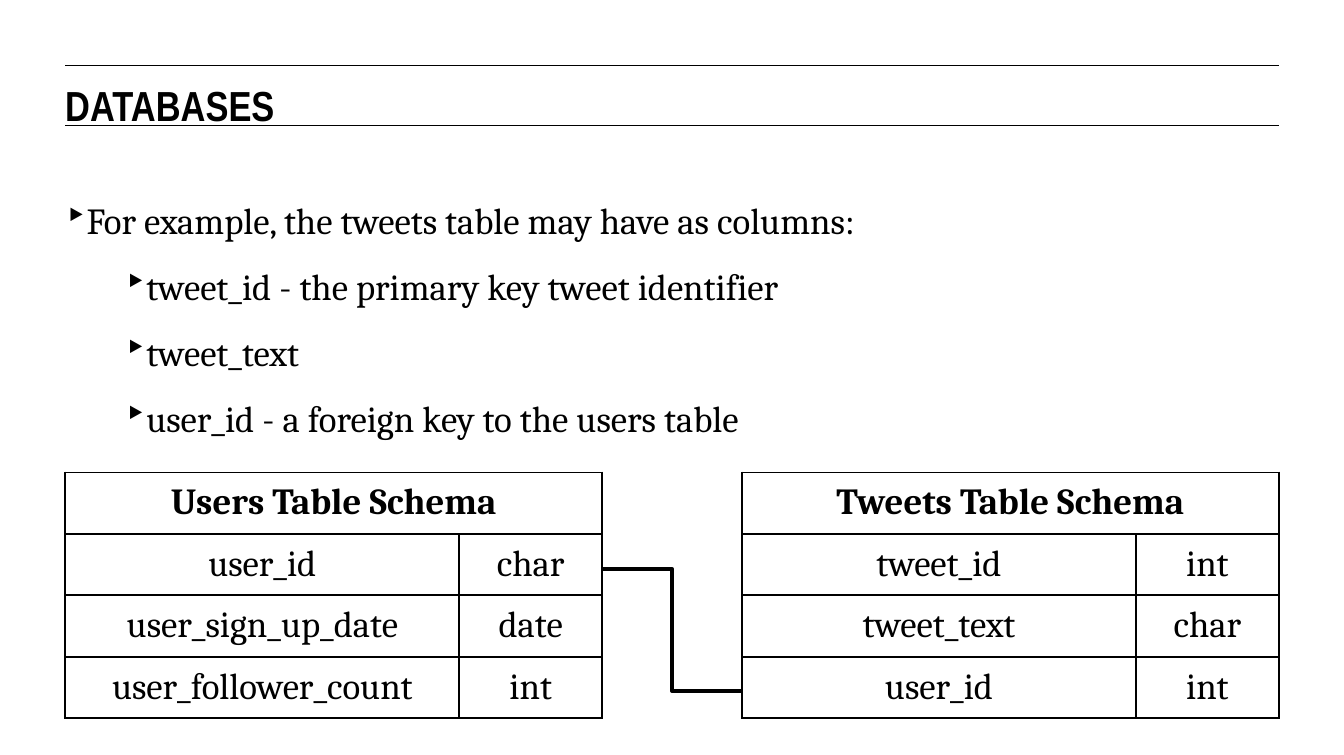
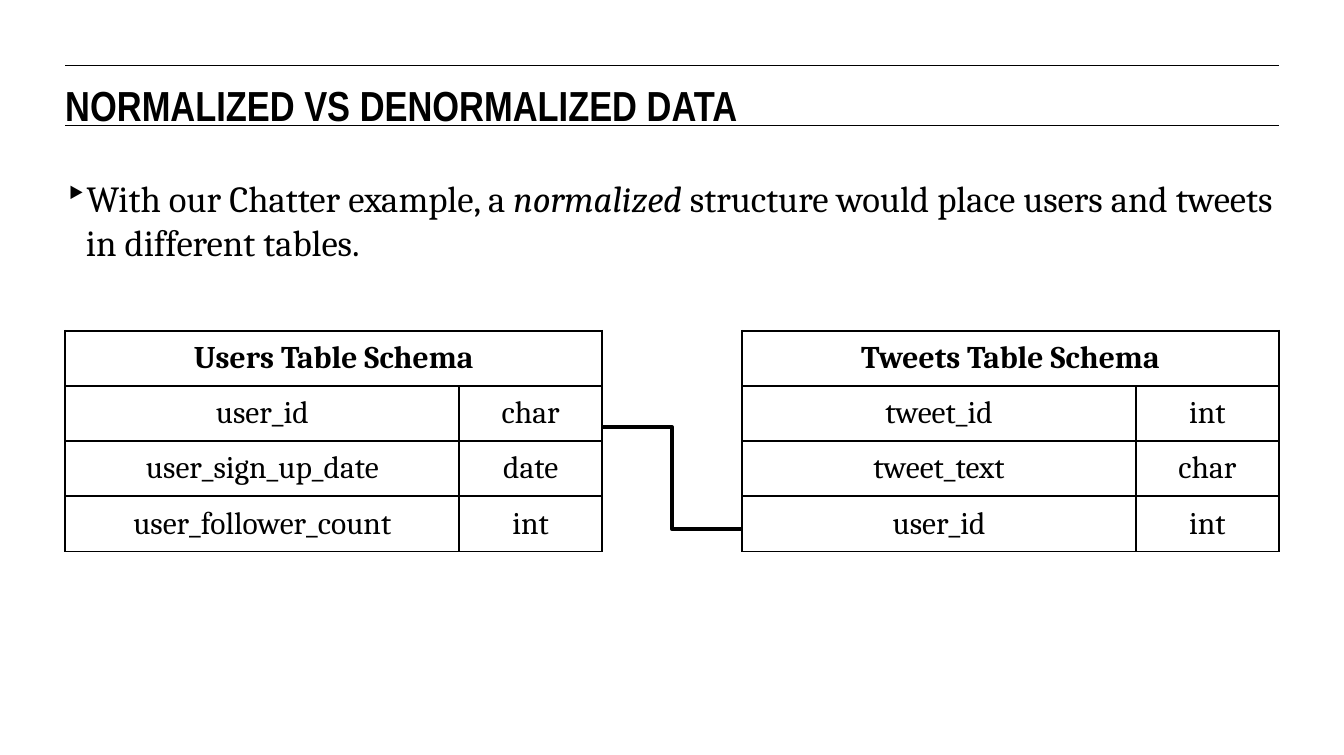
from lxml import etree
from pptx import Presentation, util as u
from pptx.dml.color import RGBColor
from pptx.enum import shapes, text
from pptx.oxml.ns import qn

WIDTH, HEIGHT = 14.22, 7.99
LEFT, RIGHT = 0.69, 13.53
RULES = (0.69, 1.33)
INK = "000000"
HEAD, BODY = "Arial Narrow", "Cambria"
COLS = (4.17, 1.51)
TABLE_W = sum(COLS)
BULLET = "‣"
# level: left margin, first-line indent
INDENTS = ((0.22, -0.22), (0.72, -0.09))

USERS = ("Users Table Schema", [
    ("user_id", "char"), ("user_sign_up_date", "date"), ("user_follower_count", "int")])
TWEETS = ("Tweets Table Schema", [
    ("tweet_id", "int"), ("tweet_text", "char"), ("user_id", "int")])

# bullets: (level, [(text, italic), ...]); link: start and end below the table top
SLIDES = [
    dict(title="DATABASES", body_top=2.09, table_top=5, row=0.65, size=28, link=(1.02, 2.31),
         bullets=[
             (0, [("For example, the tweets table may have as columns:", False)]),
             (1, [("tweet_id - the primary key tweet identifier", False)]),
             (1, [("tweet_text", False)]),
             (1, [("user_id - a foreign key to the users table", False)])]),
    dict(title="NORMALIZED VS DENORMALIZED DATA", body_top=1.86, table_top=3.5, row=0.58,
         size=24, link=(1.02, 2.1),
         bullets=[
             (0, [("With our Chatter example, a ", False), ("normalized", True),
                  (" structure would place users and tweets in different tables.", False)])]),
]


def color(value):
    return RGBColor.from_string(value)


def write(p, words, size, name=BODY, **style):
    r = p.add_run()
    r.text = words
    r.font.color.rgb = color(INK)
    for key, value in dict(style, size=u.Pt(size), name=name).items():
        setattr(r.font, key, value)


def frame(tf, margin=0):
    tf.word_wrap = True
    tf.auto_size = text.MSO_AUTO_SIZE.NONE
    tf.vertical_anchor = text.MSO_ANCHOR.TOP
    for side in ("left", "right", "top", "bottom"):
        setattr(tf, "margin_" + side, u.Inches(margin))


def add_line(s, kind, start, end, width):
    line = s.shapes.add_connector(kind, *map(u.Inches, start + end))
    line.line.color.rgb = color(INK)
    line.line.width = u.Pt(width)
    etree.SubElement(line._element.spPr, qn("a:effectLst"))


def add_title(s, words):
    title = s.shapes.title
    box = dict(left=LEFT, top=0.84, width=RIGHT - LEFT, height=0.47)
    for key, value in box.items():
        setattr(title, key, u.Inches(value))
    frame(title.text_frame)
    p = title.text_frame.paragraphs[0]
    p.alignment = text.PP_ALIGN.LEFT
    write(p, words, 32, HEAD, bold=True)


def add_bullets(s, bullets, top):
    box = s.shapes.add_textbox(*map(u.Inches, (LEFT, top, RIGHT - LEFT, 0.7 * len(bullets))))
    tf = box.text_frame
    frame(tf)
    for i, (level, runs) in enumerate(bullets):
        p = tf.add_paragraph() if i else tf.paragraphs[0]
        p.level = level
        p.line_spacing = 1.5 if i else 1.0
        margin, indent = INDENTS[level]
        pPr = p._p.get_or_add_pPr()
        pPr.set("marL", str(u.Inches(margin)))
        pPr.set("indent", str(u.Inches(indent)))
        etree.SubElement(pPr, qn("a:buChar"), char=BULLET)
        for words, italic in runs:
            write(p, words, 28, italic=italic)


def set_borders(cell, width):
    tcPr = cell._tc.get_or_add_tcPr()
    for i, side in enumerate(("lnL", "lnR", "lnT", "lnB")):
        ln = etree.Element(qn("a:" + side), w=str(u.Pt(width)))
        fill = etree.SubElement(ln, qn("a:solidFill"))
        etree.SubElement(fill, qn("a:srgbClr"), val=INK)
        tcPr.insert(i, ln)


def add_schema(s, schema, left, top, row, size):
    heading, fields = schema
    rows = [(heading, "")] + fields
    box = map(u.Inches, (left, top, TABLE_W, row * len(rows)))
    table = s.shapes.add_table(len(rows), len(COLS), *box).table
    table.first_row = table.horz_banding = False
    for column, width in zip(table.columns, COLS):
        column.width = u.Inches(width)
    table.cell(0, 0).merge(table.cell(0, 1))
    for i, values in enumerate(rows):
        for j, words in enumerate(values):
            cell = table.cell(i, j)
            cell.fill.background()
            set_borders(cell, 1.5)
            for side in ("left", "right", "top", "bottom"):
                setattr(cell, "margin_" + side, u.Inches(0.1))
            if words:
                p = cell.text_frame.paragraphs[0]
                p.alignment = text.PP_ALIGN.CENTER
                write(p, words, size, bold=i == 0)


def main():
    prs = Presentation()
    prs.slide_width, prs.slide_height = u.Inches(WIDTH), u.Inches(HEIGHT)
    lefts = (LEFT, RIGHT - TABLE_W)
    for item in SLIDES:
        s = prs.slides.add_slide(prs.slide_layouts[5])
        for y in RULES:
            add_line(s, shapes.MSO_CONNECTOR.STRAIGHT, (LEFT, y), (RIGHT, y), 0.75)
        add_title(s, item["title"])
        add_bullets(s, item["bullets"], item["body_top"])
        top = item["table_top"]
        for schema, left in zip((USERS, TWEETS), lefts):
            add_schema(s, schema, left, top, item["row"], item["size"])
        start, end = item["link"]
        add_line(s, shapes.MSO_CONNECTOR.ELBOW, (LEFT + TABLE_W, top + start),
                 (lefts[1], top + end), 3)
    prs.save("out.pptx")


if __name__ == "__main__":
    main()
